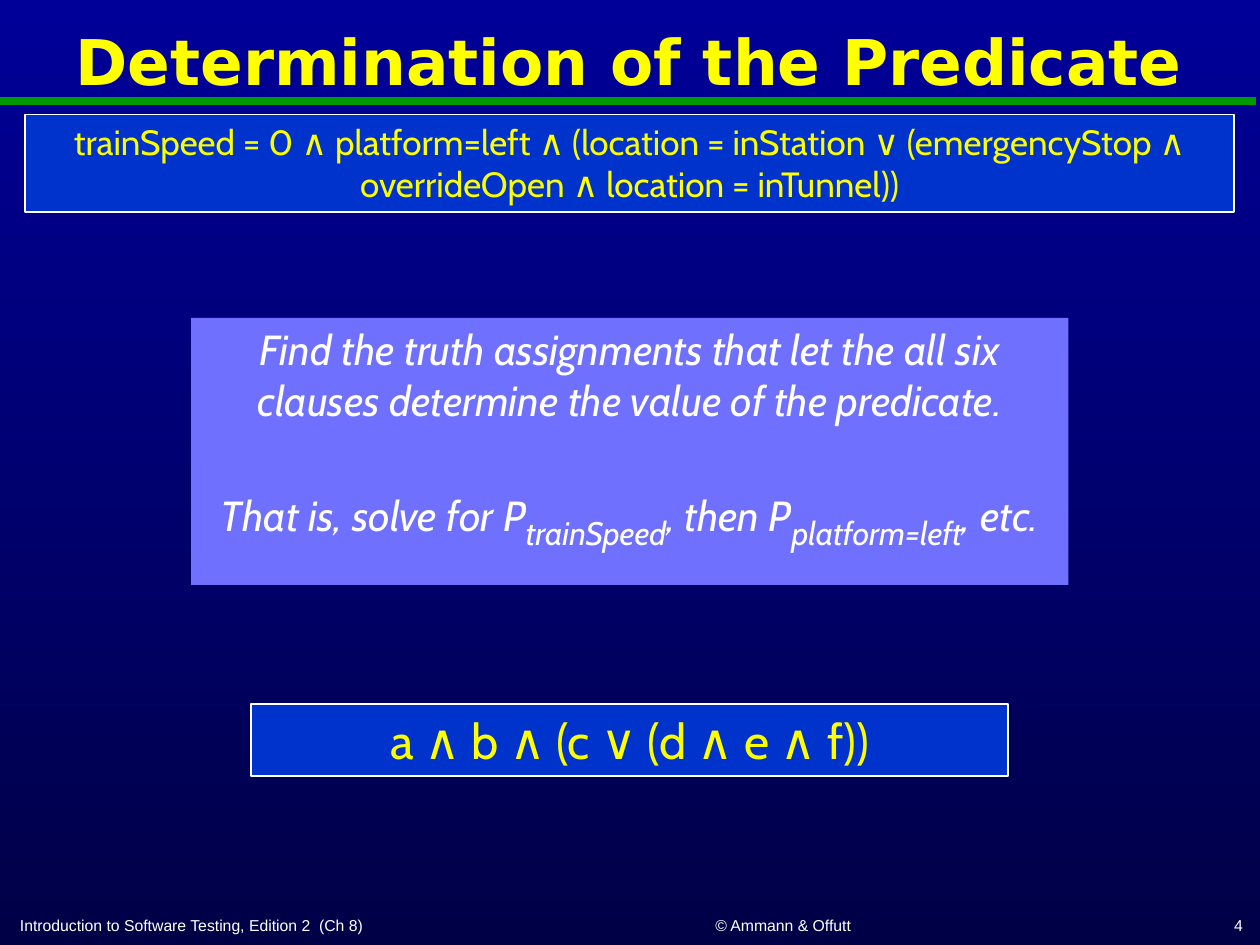
"""Build the slide on determination of a predicate by its clauses."""
from lxml.etree import SubElement
from pptx import Presentation
from pptx.dml.color import RGBColor
from pptx.enum.shapes import MSO_CONNECTOR, MSO_SHAPE
from pptx.enum.text import MSO_ANCHOR, PP_ALIGN
from pptx.oxml.ns import qn
from pptx.util import Pt

NAVY = RGBColor(0x00, 0x00, 0x99)
MIDNIGHT = RGBColor(0x00, 0x00, 0x47)
GREEN = RGBColor(0x00, 0x99, 0x00)
BLUE = RGBColor(0x00, 0x33, 0xCC)
LAVENDER = RGBColor(0x70, 0x70, 0xFF)
WHITE = RGBColor(0xFF, 0xFF, 0xFF)
YELLOW = RGBColor(0xFF, 0xFF, 0x00)
GOLD = RGBColor(0xFA, 0xFD, 0x00)


def add_span(para, text, font, size, color):
    span = para.add_run()
    span.text = text
    span.font.name = font
    span.font.size = Pt(size)
    span.font.color.rgb = color
    return span


def add_panel(page, left, top, width, height, fill):
    box = page.shapes.add_shape(MSO_SHAPE.RECTANGLE, Pt(left), Pt(top), Pt(width), Pt(height))
    box.shadow.inherit = False
    box.fill.solid()
    box.fill.fore_color.rgb = fill
    box.line.fill.background()
    box.text_frame.word_wrap = True
    box.text_frame.vertical_anchor = MSO_ANCHOR.TOP
    box.text_frame.paragraphs[0].alignment = PP_ALIGN.CENTER
    return box


deck = Presentation()
deck.slide_width, deck.slide_height = Pt(720), Pt(540)
page = deck.slides.add_slide(deck.slide_layouts[5])

background = page.background.fill
background.gradient()
background.gradient_angle = 270
for stop, color in zip(background.gradient_stops, (NAVY, MIDNIGHT)):
    stop.color.rgb = color

title = page.shapes.title
title.left, title.top, title.width, title.height = Pt(3.6), Pt(7.9), Pt(711.4), Pt(58.3)
title.text_frame.vertical_anchor = MSO_ANCHOR.MIDDLE
para = title.text_frame.paragraphs[0]
para.alignment = PP_ALIGN.CENTER
para.line_spacing = 0.9
add_span(para, "Determination of the Predicate", "DejaVu Sans", 36, YELLOW).font.bold = True

rule = page.shapes.add_connector(MSO_CONNECTOR.STRAIGHT, 0, Pt(57.6), Pt(718), Pt(57.6))
rule.line.color.rgb = GREEN
rule.line.width = Pt(4.5)
SubElement(rule._element.spPr, qn("a:effectLst"))

formulas = [
    (14.4, 65.4, 690.8, 55.6, 20,
     ["trainSpeed = 0 ", "∧ platform=left ∧ ", "(location = inStation ", "∨", " (emergencyStop ",
      "∧ ", "overrideOpen ", "∧ location = inTunnel", "))"]),
    (143.3, 402.4, 432.8, 41.2, 28,
     ["a ", "∧ b ∧ ", "(c ", "∨ ", "(d ", "∧ ", "e ", "∧ f", "))"]),
]
for left, top, width, height, size, pieces in formulas:
    box = add_panel(page, left, top, width, height, BLUE)
    box.line.color.rgb = WHITE
    box.line.width = Pt(1)
    for index, piece in enumerate(pieces):
        add_span(box.text_frame.paragraphs[0], piece, "Cabin", size, YELLOW if index % 2 else GOLD)

task = add_panel(page, 109.2, 181.6, 501.4, 152.6, LAVENDER)
sentence = "Find the truth assignments that let the all six clauses determine the value of the predicate."
add_span(task.text_frame.paragraphs[0], sentence, "Cabin", 24, WHITE).font.italic = True
para = task.text_frame.add_paragraph()
para.alignment = PP_ALIGN.CENTER
para.space_before = Pt(29)
for index, piece in enumerate(["That is, solve for P", "trainSpeed", ", then P", "platform=left", ", etc."]):
    subscript = index % 2 == 1
    span = add_span(para, piece, "Cabin", 32 if subscript else 24, WHITE)
    span.font.italic = True
    if subscript:
        span.font._element.set("baseline", "-25000")

footers = [
    (4.3, 517.7, 308.9, 20.2, PP_ALIGN.LEFT, "Introduction to Software Testing, Edition 2  (Ch 8)"),
    (333.4, 517.7, 228.2, 20.2, PP_ALIGN.CENTER, "© Ammann & Offutt"),
    (567.4, 517.7, 149.8, 20.2, PP_ALIGN.RIGHT, "4"),
]
for left, top, width, height, alignment, text in footers:
    box = page.shapes.add_textbox(Pt(left), Pt(top), Pt(width), Pt(height))
    box.text_frame.word_wrap = True
    box.text_frame.vertical_anchor = MSO_ANCHOR.BOTTOM
    para = box.text_frame.paragraphs[0]
    para.alignment = alignment
    add_span(para, text, "Arial", 9, WHITE)

deck.save("out.pptx")
